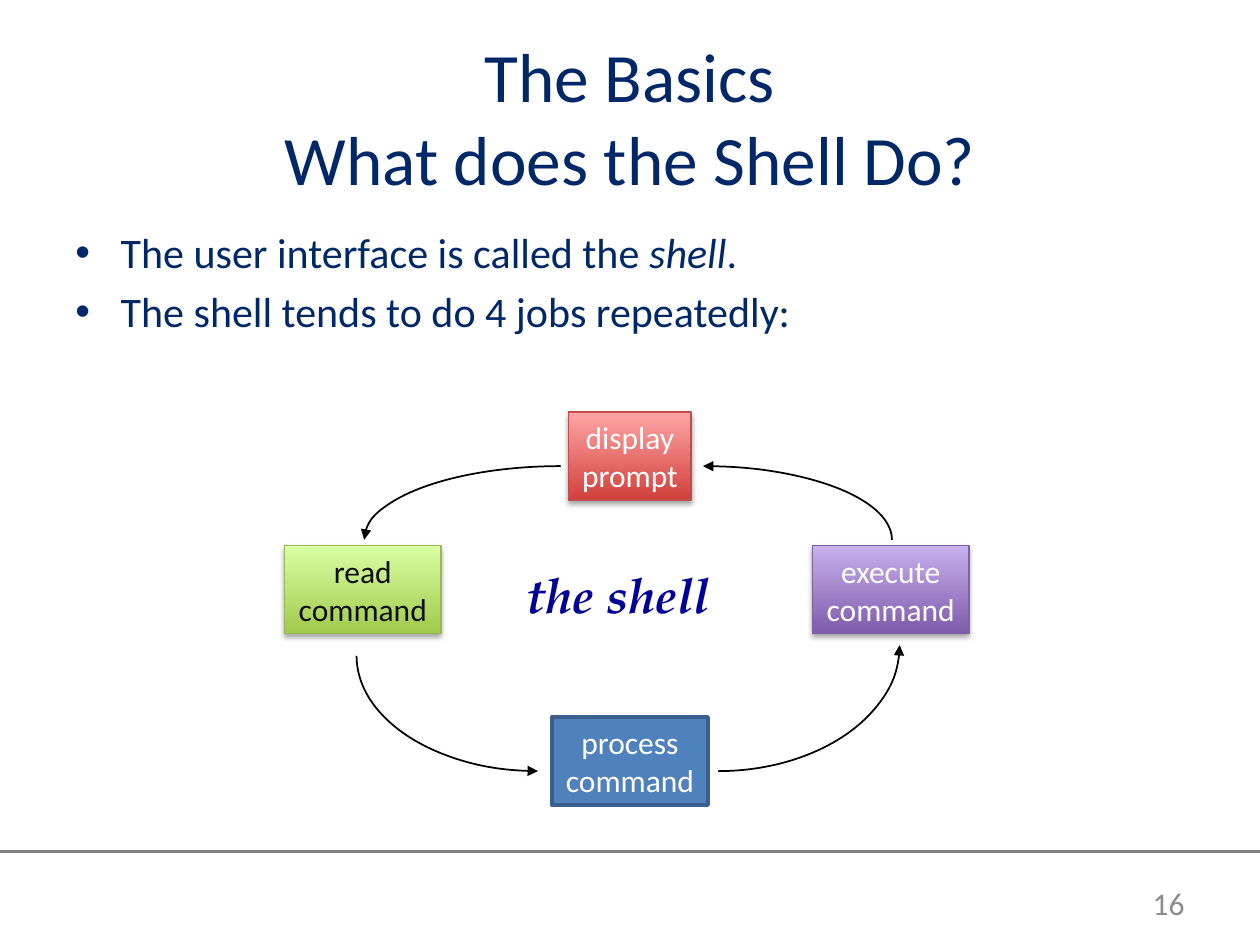
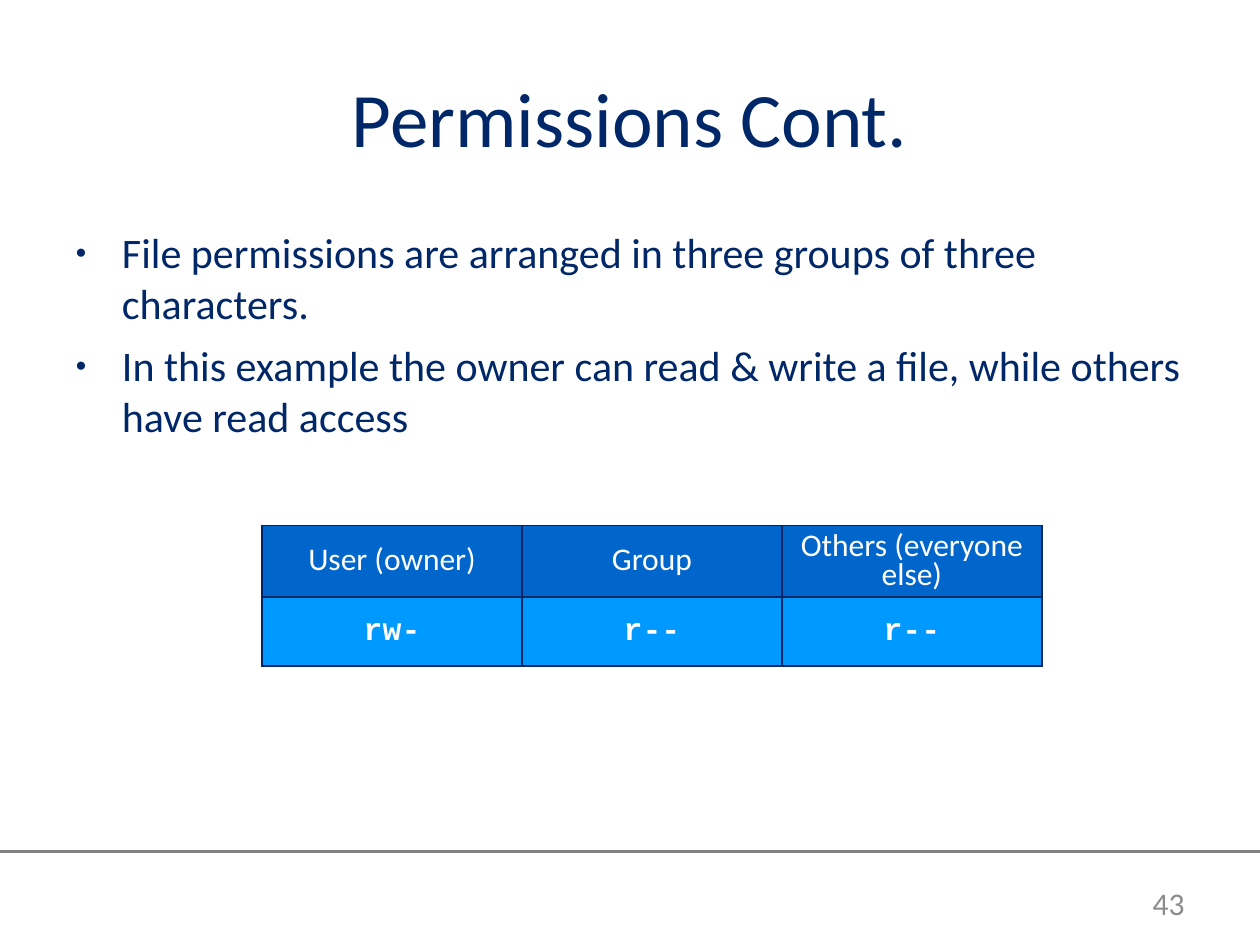
from lxml import etree
from pptx import Presentation
from pptx.dml.color import RGBColor
from pptx.enum.shapes import MSO_CONNECTOR, MSO_SHAPE
from pptx.enum.text import MSO_ANCHOR, PP_ALIGN
from pptx.oxml.ns import qn
from pptx.util import Inches, Pt

STRAIGHT = MSO_CONNECTOR.STRAIGHT
RECTANGLE, ARC = MSO_SHAPE.RECTANGLE, MSO_SHAPE.ARC
TOP, MIDDLE = MSO_ANCHOR.TOP, MSO_ANCHOR.MIDDLE
LEFT, CENTER, RIGHT = PP_ALIGN.LEFT, PP_ALIGN.CENTER, PP_ALIGN.RIGHT

SLIDE_WIDTH, SLIDE_HEIGHT = Inches(10), Inches(7.5)
SANS, MONO, SERIF = "Calibri", "Courier New", "TeX Gyre Pagella"
COLORS = {
    "navy": "002868", "rule": "808080", "number": "8C8C8C",
    "white": "FFFFFF", "black": "000000", "ink": "0D0D0D", "label": "000099",
    "red": "D1403C", "red_light": "FFA6A5", "red_edge": "BF4C48",
    "purple": "7F5BAB", "purple_light": "C8B0ED", "purple_edge": "7D60A0",
    "green": "A0CA4A", "green_light": "DAFFA5", "green_edge": "98B955",
    "blue": "4F81BD", "blue_edge": "3A5F8C",
    "header": "0066CC", "mode": "0099FF",
}
STEP_HEIGHT = 9.33


def rgb(name):
    return RGBColor.from_string(COLORS[name])


def across(percent):
    return round(SLIDE_WIDTH * percent / 100)


def down(percent):
    return round(SLIDE_HEIGHT * percent / 100)


def area(left, top, width, height):
    return across(left), down(top), across(width), down(height)


def child(parent, tag, **attributes):
    return etree.SubElement(parent, qn(tag), attributes)


def add_run(paragraph, text, size, color="navy", font=SANS, bold=False, italic=False):
    run = paragraph.add_run()
    run.text = text
    run.font.name = font
    run.font.size = Pt(size)
    run.font.color.rgb = rgb(color)
    run.font.bold = bold
    run.font.italic = italic


def add_text_area(slide, place, anchor=TOP, align=LEFT, wrap=True):
    frame = slide.shapes.add_textbox(*area(*place)).text_frame
    frame.word_wrap = wrap
    frame.vertical_anchor = anchor
    frame.paragraphs[0].alignment = align
    return frame


def add_title(slide, lines, size):
    heading = add_text_area(slide, (5, 4, 90, 16.67), MIDDLE, CENTER).paragraphs[0]
    for index, line in enumerate(lines):
        if index:
            heading.add_line_break()
        add_run(heading, line, size)


def add_footer(slide, number):
    rule = slide.shapes.add_connector(
        STRAIGHT, 0, down(90.13), SLIDE_WIDTH, down(90.13))
    rule.line.color.rgb = rgb("rule")
    rule.line.width = Pt(2)
    child(rule._element.spPr, "a:effectLst")
    corner = add_text_area(slide, (84.1, 92.93, 10.9, 5.33), MIDDLE, RIGHT)
    add_run(corner.paragraphs[0], number, 18, "number")


def add_bullets(slide, items, mark, mark_percent, indent, space):
    frame = add_text_area(slide, (5, 23.33, 90, 65.6))
    for index, pieces in enumerate(items):
        paragraph = frame.add_paragraph() if index else frame.paragraphs[0]
        paragraph.space_before = Pt(space)
        properties = paragraph._p.get_or_add_pPr()
        properties.set("marL", str(Inches(indent)))
        properties.set("indent", str(-Inches(indent)))
        child(properties, "a:buSzPct", val=str(mark_percent * 1000))
        child(properties, "a:buFont", typeface="Arial")
        child(properties, "a:buChar", char=mark)
        for text, italic in pieces:
            add_run(paragraph, text, 24, italic=italic)


def add_soft_shadow(shape):
    effects = shape._element.spPr.find(qn("a:effectLst"))
    shadow = child(effects, "a:outerShdw", blurRad=str(Pt(3.1)), dist=str(Pt(1.8)),
                   dir="5400000", rotWithShape="0")
    tint = child(shadow, "a:srgbClr", val=COLORS["black"])
    child(tint, "a:alpha", val="35000")


def add_step(slide, words, center, top, width, hue, ink="white", raised=True):
    step = slide.shapes.add_shape(
        RECTANGLE, *area(center - width / 2, top, width, STEP_HEIGHT))
    step.shadow.inherit = False
    if raised:
        step.fill.gradient()
        step.fill.gradient_angle = 90
        for stop, shade in zip(step.fill.gradient_stops, (hue, hue + "_light")):
            stop.color.rgb = rgb(shade)
        add_soft_shadow(step)
    else:
        step.fill.solid()
        step.fill.fore_color.rgb = rgb(hue)
    step.line.color.rgb = rgb(hue + "_edge")
    step.line.width = Pt(0.75 if raised else 2)
    frame = step.text_frame
    frame.word_wrap = False
    frame.vertical_anchor = TOP
    for index, word in enumerate(words):
        paragraph = frame.add_paragraph() if index else frame.paragraphs[0]
        paragraph.alignment = CENTER
        add_run(paragraph, word, 18, ink)


def add_quarter_arrow(slide, ellipse, start):
    arrow = slide.shapes.add_shape(ARC, *area(*ellipse))
    arrow.shadow.inherit = False
    arrow.fill.background()
    arrow.line.color.rgb = rgb("black")
    arrow.line.width = Pt(1)
    for index, degrees in enumerate((start, (start + 90) % 360)):
        arrow.adjustments[index] = degrees * 0.6
    child(arrow.line._get_or_add_ln(), "a:headEnd", type="triangle")


def add_cell_borders(cell):
    properties = cell._tc.get_or_add_tcPr()
    for position, side in enumerate(("a:lnL", "a:lnR", "a:lnT", "a:lnB")):
        border = etree.Element(qn(side), w=str(Pt(1)))
        child(child(border, "a:solidFill"), "a:srgbClr", val=COLORS["navy"])
        properties.insert(position, border)


def add_permission_table(slide, groups, modes):
    table = slide.shapes.add_table(
        2, len(groups), *area(20.8, 55.6, 61.9, 14.67)).table
    table.first_row = False
    table.horz_banding = False
    rows = ((groups, "header", SANS, False), (modes, "mode", MONO, True))
    for row, (texts, fill, font, bold) in enumerate(rows):
        for column, text in enumerate(texts):
            cell = table.cell(row, column)
            cell.fill.solid()
            cell.fill.fore_color.rgb = rgb(fill)
            cell.vertical_anchor = MIDDLE
            cell.margin_left = cell.margin_right = Inches(0.07)
            cell.margin_top, cell.margin_bottom = Inches(0.06), Inches(0.05)
            add_cell_borders(cell)
            paragraph = cell.text_frame.paragraphs[0]
            paragraph.alignment = CENTER
            paragraph.line_spacing = 0.76
            add_run(paragraph, text, 18, "white", font, bold)


def start_slide(deck, title_lines, title_size, number):
    slide = deck.slides.add_slide(deck.slide_layouts[6])
    add_footer(slide, number)
    add_title(slide, title_lines, title_size)
    return slide


def build_shell_slide(deck):
    slide = start_slide(deck, ("The Basics", "What does the Shell Do?"), 39.6, "16")
    add_bullets(slide, (
        (("The user interface is called the ", False), ("shell", True), (".", False)),
        (("The shell tends to do 4 jobs repeatedly:", False),),
    ), "•", 100, 0.36, 4.8)
    add_step(slide, ("display", "prompt"), 50, 43.6, 9.7, "red")
    add_step(slide, ("execute", "command"), 70.7, 57.73, 12.4, "purple")
    add_step(slide, ("process", "command"), 50, 75.87, 12.4, "blue", raised=False)
    add_step(slide, ("read", "command"), 28.8, 57.73, 12.4, "green", ink="ink")
    for ellipse, start in (
        ((40.8, 49.33, 30, 15.6), 270),
        ((28.9, 49.33, 31.2, 15.6), 180),
        ((28.3, 57.2, 28.8, 24.4), 90),
        ((42.6, 54.93, 28.8, 26.67), 0),
    ):
        add_quarter_arrow(slide, ellipse, start)
    hub = add_text_area(slide, (40.8, 59.07, 18.7, 7.6), MIDDLE, wrap=False)
    add_run(hub.paragraphs[0], "the shell", 28, "label", SERIF, True, True)


def build_permissions_slide(deck):
    slide = start_slide(deck, ("Permissions Cont.",), 44, "43")
    add_bullets(slide, (
        (("File permissions are arranged in three groups of three characters.", False),),
        (("In this example the owner can read & write a file, "
          "while others have read access", False),),
    ), "●", 45, 0.37, 7)
    add_permission_table(slide, ("User (owner)", "Group", "Others (everyone else)"),
                         ("rw-", "r--", "r--"))


def main():
    deck = Presentation()
    deck.slide_width, deck.slide_height = SLIDE_WIDTH, SLIDE_HEIGHT
    build_shell_slide(deck)
    build_permissions_slide(deck)
    deck.save("out.pptx")


if __name__ == "__main__":
    main()
